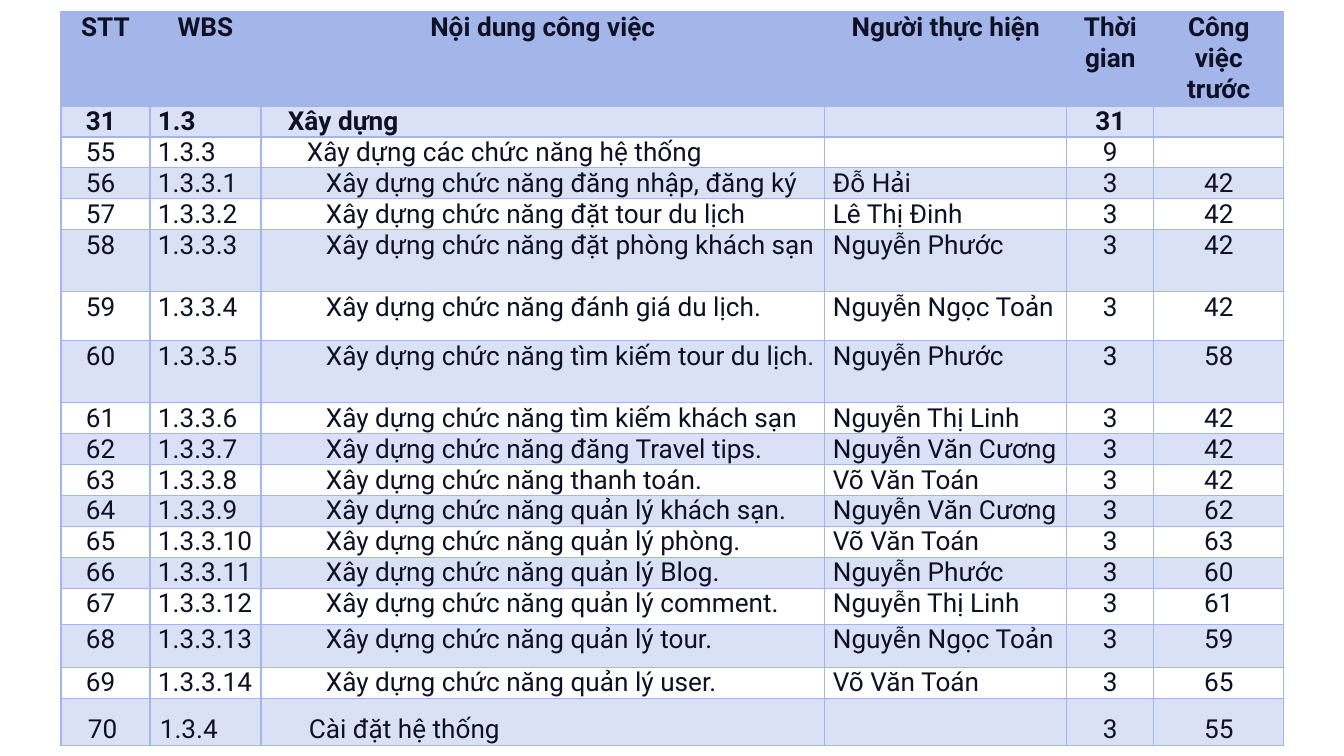
from dataclasses import dataclass

from lxml.etree import SubElement
from pptx import Presentation
from pptx.dml.color import RGBColor
from pptx.enum.text import PP_ALIGN
from pptx.oxml.ns import qn
from pptx.util import Pt


@dataclass(frozen=True)
class Theme:
    font: str = "Roboto"
    size: int = 14
    ink: str = "0E1125"
    accent: str = "A4B5E9"
    paper: str = "FFFFFF"
    band_alpha: int = 40


def px(n):
    return round(n * 914400 / 134.4)


def add_border(cell, side, color):
    ln = SubElement(cell._tc.get_or_add_tcPr(), qn(f"a:ln{side}"), w=str(Pt(0.75)))
    fill = SubElement(ln, qn("a:solidFill"))
    SubElement(fill, qn("a:srgbClr"), val=color)


theme = Theme()
header = ["STT", "WBS", "Nội dung công việc", "Người thực hiện", "Thời gian", "Công việc trước"]
tasks = [
    ("31", "1.3", "Xây dựng", "", "31", ""),
    ("55", "1.3.3", "Xây dựng các chức năng hệ thống", "", "9", ""),
    ("56", "1.3.3.1", "Xây dựng chức năng đăng nhập, đăng ký", "Đỗ Hải", "3", "42"),
    ("57", "1.3.3.2", "Xây dựng chức năng đặt tour du lịch", "Lê Thị Đinh", "3", "42"),
    ("58", "1.3.3.3", "Xây dựng chức năng đặt phòng khách sạn", "Nguyễn Phước", "3", "42"),
    ("59", "1.3.3.4", "Xây dựng chức năng đánh giá du lịch.", "Nguyễn Ngọc Toản", "3", "42"),
    ("60", "1.3.3.5", "Xây dựng chức năng tìm kiếm tour du lịch.", "Nguyễn Phước", "3", "58"),
    ("61", "1.3.3.6", "Xây dựng chức năng tìm kiếm khách sạn", "Nguyễn Thị Linh", "3", "42"),
    ("62", "1.3.3.7", "Xây dựng chức năng đăng Travel tips.", "Nguyễn Văn Cương", "3", "42"),
    ("63", "1.3.3.8", "Xây dựng chức năng thanh toán.", "Võ Văn Toán", "3", "42"),
    ("64", "1.3.3.9", "Xây dựng chức năng quản lý khách sạn.", "Nguyễn Văn Cương", "3", "62"),
    ("65", "1.3.3.10", "Xây dựng chức năng quản lý phòng.", "Võ Văn Toán", "3", "63"),
    ("66", "1.3.3.11", "Xây dựng chức năng quản lý Blog.", "Nguyễn Phước", "3", "60"),
    ("67", "1.3.3.12", "Xây dựng chức năng quản lý comment.", "Nguyễn Thị Linh", "3", "61"),
    ("68", "1.3.3.13", "Xây dựng chức năng quản lý tour.", "Nguyễn Ngọc Toản", "3", "59"),
    ("69", "1.3.3.14", "Xây dựng chức năng quản lý user.", "Võ Văn Toán", "3", "65"),
    ("70", "1.3.4", "Cài đặt hệ thống", "", "3", "55"),
]
rows = [header, *tasks]
last = len(rows) - 1
col_widths = [89, 111, 564, 242, 87, 130]
row_heights = [31] * len(rows)
for i, height in {0: 94, 5: 62, 6: 49, 7: 62, 14: 36, 15: 43, last: 47}.items():
    row_heights[i] = height

prs = Presentation()
prs.slide_width, prs.slide_height = px(1344), px(756)
s = prs.slides.add_slide(prs.slide_layouts[6])
table = s.shapes.add_table(len(rows), len(header), px(61), px(12),
                           px(sum(col_widths)), px(sum(row_heights))).table
table.horz_banding = False
for col, width in zip(table.columns, col_widths):
    col.width = px(width)
for row, height in zip(table.rows, row_heights):
    row.height = px(height)

for i, values in enumerate(rows):
    for j, text in enumerate(values):
        cell = table.cell(i, j)
        cell.margin_left = cell.margin_right = px(10 if i == last else 8)
        cell.margin_top = cell.margin_bottom = 0
        for side in "LRTB":
            add_border(cell, side, theme.paper if i == 0 and side == "B" else theme.accent)
        if i % 2 and i < last or i in (0, last):
            cell.fill.solid()
            cell.fill.fore_color.rgb = RGBColor.from_string(theme.accent)
            if i > 0:
                color = cell._tc.tcPr.find(qn("a:solidFill"))[0]
                SubElement(color, qn("a:alpha"), val=str(theme.band_alpha * 1000))
        else:
            cell.fill.background()

        p = cell.text_frame.paragraphs[0]
        p.text = text
        p.font.name = theme.font
        p.font.size = Pt(theme.size)
        p.font.bold = i < 2
        p.font.color.rgb = RGBColor.from_string(theme.ink)
        p.alignment = PP_ALIGN.CENTER if i == 0 or j > 3 else PP_ALIGN.LEFT
        if i == last:
            p.line_spacing = 1.5
        if i > 0 and j == 0:
            p._p.get_or_add_pPr().set("indent", str(px(17)))
        if i > 0 and j == 2:
            p._p.get_or_add_pPr().set("marL", str(px(19 * values[1].count("."))))

prs.save("out.pptx")
